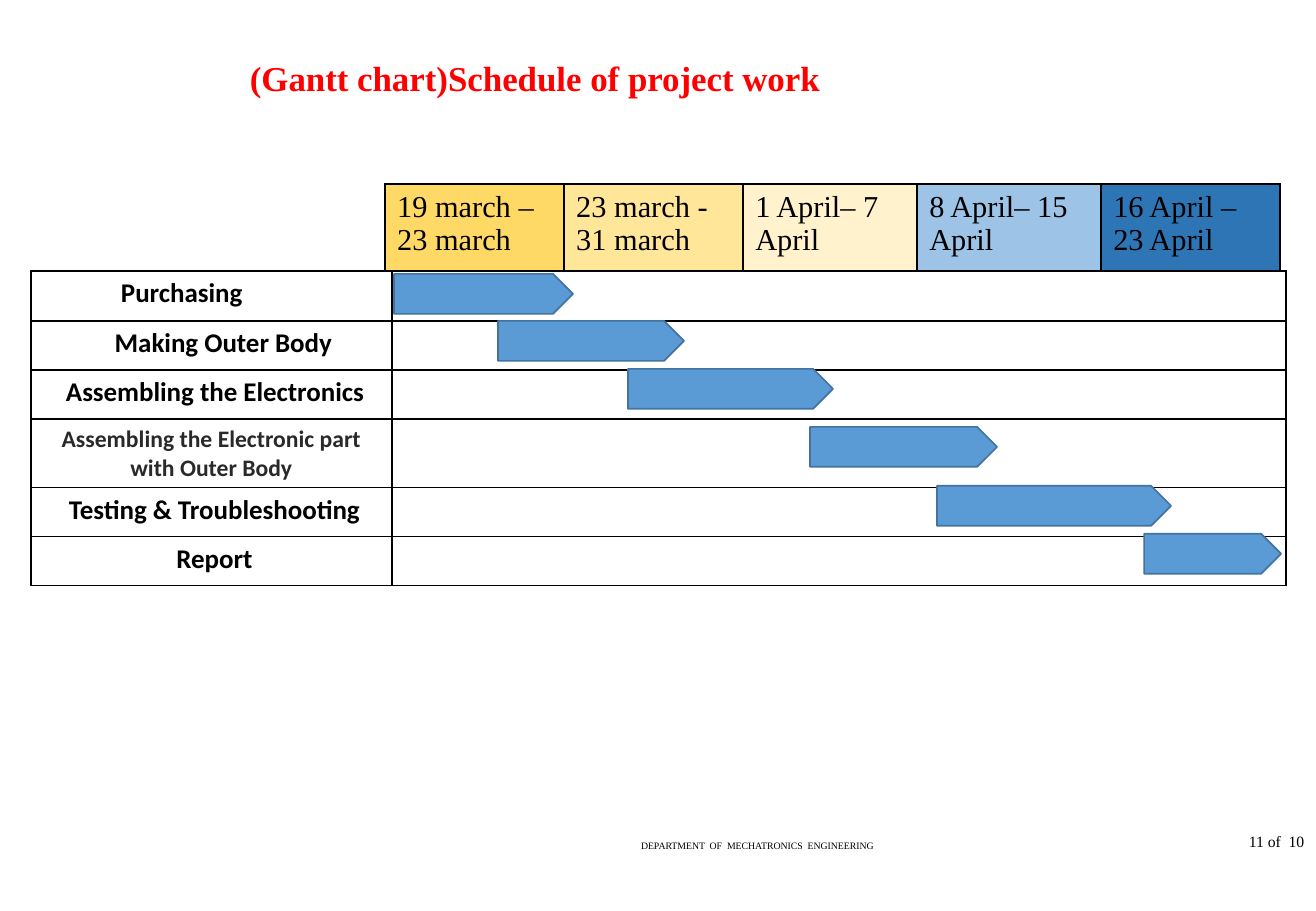
from lxml import etree
from pptx import Presentation, util as u
from pptx.dml.color import RGBColor
from pptx.enum import shapes, text
from pptx.oxml.ns import qn

PX = 914400 / 121.5
LEFT, CENTER, RIGHT = text.PP_ALIGN.LEFT, text.PP_ALIGN.CENTER, text.PP_ALIGN.RIGHT


def style(p, font, size, color="000000", bold=False, align=LEFT):
    """Align a paragraph and format all of its runs."""
    p.alignment = align
    for r in p.runs:
        r.font.name, r.font.size, r.font.bold = font, u.Pt(size), bold
        r.font.color.rgb = RGBColor.from_string(color)


def add_grid(s, x, y, widths, heights, fills):
    """Add a table with black borders and one fill per column."""
    box = [round(v * PX) for v in (x, y, sum(widths), sum(heights))]
    table = s.shapes.add_table(len(heights), len(widths), *box).table
    table.first_row = table.horz_banding = False
    for col, width in zip(table.columns, widths):
        col.width = round(width * PX)
    for row, height in zip(table.rows, heights):
        row.height = round(height * PX)
        for cell, color in zip(row.cells, fills):
            tc_pr = cell._tc.get_or_add_tcPr()
            for side in ("lnL", "lnR", "lnT", "lnB"):
                ln = etree.SubElement(tc_pr, qn("a:" + side), w="12700")
                fill = etree.SubElement(ln, qn("a:solidFill"))
                etree.SubElement(fill, qn("a:srgbClr"), val="000000")
            cell.fill.solid()
            cell.fill.fore_color.rgb = RGBColor.from_string(color)
    return table


prs = Presentation()
prs.slide_width, prs.slide_height = u.Inches(10.83), u.Inches(7.5)
s = prs.slides.add_slide(prs.slide_layouts[6])

# Title and footer: box, wording, size, colour, bold, alignment
labels = [
    ((238, 4, 1078, 148), "(Gantt chart)Schedule of project work", 20.7, "FF0000", True, LEFT),
    ((629, 830, 280, 32), "DEPARTMENT  OF  MECHATRONICS  ENGINEERING", 5.8, "000000", False, LEFT),
    ((1180, 825, 136, 32), "11 of  10", 9.3, "000000", False, RIGHT),
]
for box, words, size, color, bold, align in labels:
    tf = s.shapes.add_textbox(*[round(v * PX) for v in box]).text_frame
    tf.word_wrap = True
    tf.vertical_anchor = text.MSO_ANCHOR.MIDDLE
    tf.text = words
    style(tf.paragraphs[0], "Times New Roman", size, color, bold, align)

# Tasks: name, row height, alignment, left inset, size, colour
tasks = [
    ("Purchasing", 50, LEFT, 90, 16, "000000"),
    ("Making Outer Body", 49, CENTER, 36, 16, "000000"),
    ("Assembling the Electronics", 49, LEFT, 35, 16, "000000"),
    ("Assembling the Electronic part with Outer Body", 69, CENTER, 12, 14, "292929"),
    ("Testing & Troubleshooting", 49, LEFT, 38, 16, "000000"),
    ("Report", 49, CENTER, 18, 16, "000000"),
]
task_table = add_grid(s, 31, 271, [361, 894], [t[1] for t in tasks], ["FFFFFF"] * 2)
for row, (name, _, align, inset, size, color) in zip(task_table.rows, tasks):
    cell, track = row.cells
    track.margin_top = track.margin_bottom = 0
    cell.margin_left = round(inset * PX)
    cell.text = name
    style(cell.text_frame.paragraphs[0], "Calibri", size, color, True, align)

# Bars: left, top, width
bars = [(394, 274, 179), (498, 321, 186), (628, 369, 205),
        (810, 427, 187), (937, 486, 234), (1144, 534, 137)]
for x, y, width in bars:
    box = [round(v * PX) for v in (x, y, width, 40)]
    sp = s.shapes.add_shape(shapes.MSO_SHAPE.PENTAGON, *box)
    sp.shadow.inherit = False
    sp.fill.solid()
    sp.fill.fore_color.rgb = RGBColor.from_string("5B9BD5")
    sp.line.color.rgb = RGBColor.from_string("43739E")
    sp.line.width = u.Pt(1)

# Periods: dates, column width, fill
periods = [
    ("19 march – 23 march", 179, "FFD966"),
    ("23 march - 31 march", 179, "FFE699"),
    ("1 April– 7 April", 174, "FFF2CC"),
    ("8 April– 15 April", 184, "9DC3E6"),
    ("16 April – 23 April", 179, "2E75B6"),
]
dates, widths, fills = zip(*periods)
period_table = add_grid(s, 385, 184, widths, [87], fills)
for cell, words in zip(period_table.rows[0].cells, dates):
    cell.text = words
    style(cell.text_frame.paragraphs[0], "Times New Roman", 18)

prs.save("out.pptx")
